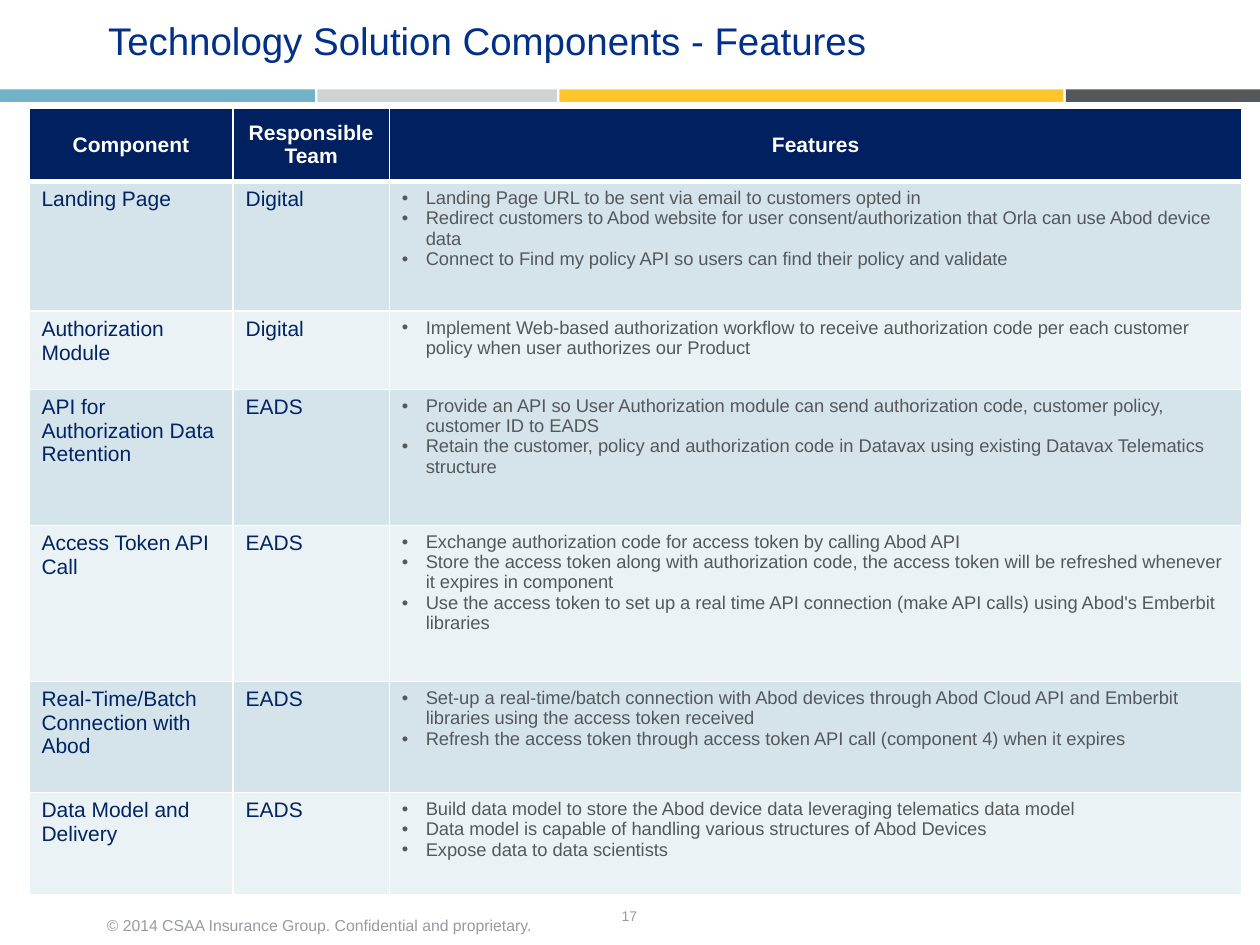
from lxml.etree import SubElement
from pptx import Presentation
from pptx.dml.color import RGBColor
from pptx.enum.shapes import MSO_SHAPE
from pptx.enum.text import MSO_ANCHOR, PP_ALIGN
from pptx.oxml import parse_xml
from pptx.oxml.ns import nsdecls, qn
from pptx.util import Inches, Pt

COLORS = {
    "teal": "71B2C9", "silver": "D0D3D4", "gold": "FFC72C", "slate": "54585A",
    "muted": "979B9E", "title": "003087", "header": "002060", "label": "002465",
    "dark_band": "D5E4EB", "light_band": "EBF2F5", "white": "FFFFFF",
}
STRIPES = [("teal", 2.5), ("silver", 1.9), ("gold", 4), ("slate", 1.54)]
HEADINGS = ["Component", "Responsible Team", "Features"]
COLUMN_WIDTHS = [1.62, 1.24, 6.77]
HEADER_HEIGHT = 0.58
COMPONENTS = [
    (1.03, "Landing Page", "Digital", [
        "Landing Page URL to be sent via email to customers opted in",
        "Redirect customers to Abod website for user consent/authorization that Orla can use Abod device data",
        "Connect to Find my policy API so users can find their policy and validate"]),
    (0.62, "Authorization Module", "Digital", [
        "Implement Web-based authorization workflow to receive authorization code per each customer policy when user authorizes our Product"]),
    (1.08, "API for Authorization Data Retention", "EADS", [
        "Provide an API so User Authorization module can send authorization code, customer policy, customer ID to EADS",
        "Retain the customer, policy and authorization code in Datavax using existing Datavax Telematics structure"]),
    (1.24, "Access Token API Call", "EADS", [
        "Exchange authorization code for access token by calling Abod API",
        "Store the access token along with authorization code, the access token will be refreshed whenever it expires in component",
        "Use the access token to set up a real time API connection (make API calls) using Abod's Emberbit libraries"]),
    (0.88, "Real-Time/Batch Connection with Abod", "EADS", [
        "Set-up a real-time/batch connection with Abod devices through Abod Cloud API and Emberbit libraries using the access token received",
        "Refresh the access token through access token API call (component 4) when it expires"]),
    (0.81, "Data Model and Delivery", "EADS", [
        "Build data model to store the Abod device data leveraging telematics data model",
        "Data model is capable of handling various structures of Abod Devices",
        "Expose data to data scientists"]),
]


class SlideBuilder:
    font_name = "Arial"

    def __init__(self, slide):
        self.slide = slide

    def color(self, name):
        return RGBColor.from_string(COLORS[name])

    def style(self, paragraph, size, color, bold=False, align=PP_ALIGN.LEFT):
        paragraph.alignment = align
        for span in paragraph.runs:
            span.font.name = self.font_name
            span.font.size = Pt(size)
            span.font.bold = bold
            span.font.color.rgb = self.color(color)

    def stripe(self, left, width, color):
        shape = self.slide.shapes.add_shape(
            MSO_SHAPE.RECTANGLE, Inches(left), Inches(0.71), Inches(width), Inches(0.1))
        shape.shadow.inherit = False
        shape.fill.solid()
        shape.fill.fore_color.rgb = self.color(color)
        shape.line.fill.background()

    def text(self, area, content, size, color, spacing=1.0,
             align=PP_ALIGN.LEFT, anchor=MSO_ANCHOR.TOP):
        box = self.slide.shapes.add_textbox(*[Inches(value) for value in area])
        frame = box.text_frame
        frame.word_wrap = True
        frame.vertical_anchor = anchor
        frame.text = content
        para = frame.paragraphs[0]
        para.line_spacing = spacing
        self.style(para, size, color, align=align)

    def table(self, left, top, widths, heights):
        frame = self.slide.shapes.add_table(
            len(heights), len(widths), Inches(left), Inches(top),
            Inches(sum(widths)), Inches(sum(heights)))
        table = frame.table
        table.horz_banding = False
        for column, width in zip(table.columns, widths):
            column.width = Inches(width)
        for row, height in zip(table.rows, heights):
            row.height = Inches(height)
        return table

    def cell(self, cell, lines, fill, size, color, bold=False, align=PP_ALIGN.LEFT,
             anchor=MSO_ANCHOR.TOP, bullets=False, top_line=1, bottom_line=1):
        cell.text_frame.text = "\n".join(lines)
        cell.vertical_anchor = anchor
        cell.fill.solid()
        cell.fill.fore_color.rgb = self.color(fill)
        self.borders(cell, top_line, bottom_line)
        for para in cell.text_frame.paragraphs:
            if bullets:
                self.bullet(para)
            self.style(para, size, color, bold, align)

    def borders(self, cell, top_line, bottom_line):
        properties = cell._tc.get_or_add_tcPr()
        sides = [("L", 1), ("R", 1), ("T", top_line), ("B", bottom_line)]
        for index, (side, width) in enumerate(sides):
            properties.insert(index, parse_xml(
                f'<a:ln{side} {nsdecls("a")} w="{Pt(width)}"><a:solidFill>'
                f'<a:srgbClr val="{COLORS["white"]}"/></a:solidFill></a:ln{side}>'))

    def bullet(self, para):
        properties = para._p.get_or_add_pPr()
        properties.set("marL", str(Inches(0.19)))
        properties.set("indent", str(-Inches(0.19)))
        SubElement(properties, qn("a:buFont"), typeface=self.font_name)
        SubElement(properties, qn("a:buChar"), char="•")


def main():
    deck = Presentation()
    deck.slide_width, deck.slide_height = Inches(10), Inches(7.5)
    page = SlideBuilder(deck.slides.add_slide(deck.slide_layouts[6]))

    left = 0
    for color, width in STRIPES:
        page.stripe(left, width, color)
        left += width + 0.02

    page.text((3.83, 7.12, 2.33, 0.3), "17", 8, "muted",
              align=PP_ALIGN.CENTER, anchor=MSO_ANCHOR.MIDDLE)
    page.text((0.75, 7.2, 3.96, 0.27),
              "© 2014 CSAA Insurance Group. Confidential and proprietary.", 9, "muted", 1.15)
    page.text((0.76, 0.13, 8.5, 0.56),
              "Technology Solution Components - Features", 22, "title", 0.9)

    heights = [HEADER_HEIGHT] + [component[0] for component in COMPONENTS]
    table = page.table(0.23, 0.86, COLUMN_WIDTHS, heights)
    for column, heading in enumerate(HEADINGS):
        page.cell(table.cell(0, column), [heading], "header", 12, "white", True,
                  PP_ALIGN.CENTER, MSO_ANCHOR.MIDDLE, bottom_line=3)
    for row, (_, name, team, features) in enumerate(COMPONENTS, 1):
        fill = "dark_band" if row % 2 else "light_band"
        top_line = 3 if row == 1 else 1
        for column, label in enumerate((name, team)):
            page.cell(table.cell(row, column), [label], fill, 12, "label", top_line=top_line)
        page.cell(table.cell(row, 2), features, fill, 10.5, "slate",
                  bullets=True, top_line=top_line)

    deck.save("out.pptx")


if __name__ == "__main__":
    main()
